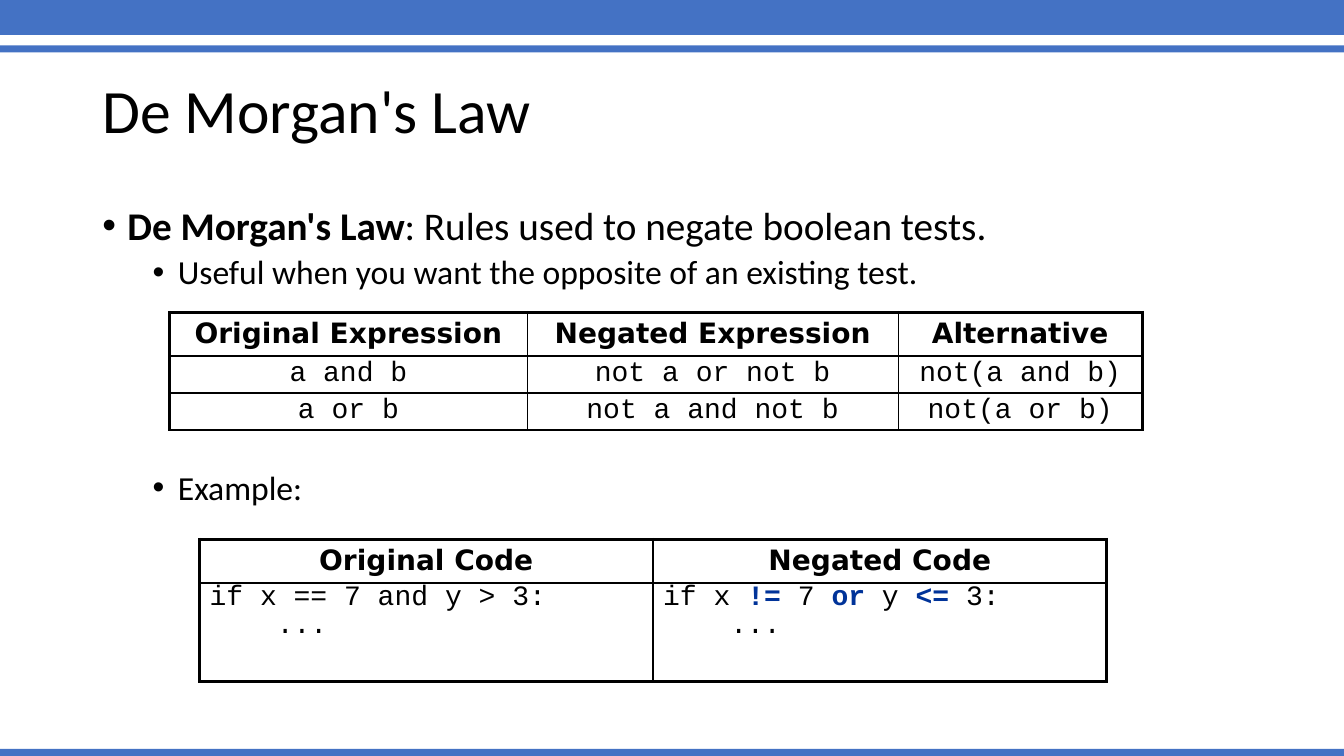
from pptx import Presentation
from pptx.dml.color import RGBColor as Rgb
from pptx.enum.shapes import MSO_SHAPE as Preset
from pptx.enum.text import MSO_ANCHOR as Anchor, PP_ALIGN as Align
from pptx.oxml import parse_xml
from pptx.oxml.ns import nsdecls
from pptx.util import Pt

COLORS = {"bar": "4472C4", "text": "000000", "change": "003399"}
SANS, MONO, HEADER = "Calibri", "Courier New", "DejaVu Sans"
WIDTH, HEIGHT = 960, 540


def color(name):
    return Rgb.from_string(COLORS[name])


def set_font(font, name, size, bold=False):
    font.name, font.size, font.bold = name, Pt(size), bold
    font.color.rgb = color("text")


def add_bars(page, box):
    """Two bars along the top edge of the box and one along the bottom."""
    left, top, width, height = box
    for offset, thickness in ((0, 25), (32.4, 5), (height - 5, 5)):
        bar = page.shapes.add_shape(Preset.RECTANGLE, Pt(left), Pt(top + offset),
                                    Pt(width), Pt(thickness))
        bar.shadow.inherit = False
        bar.fill.solid()
        bar.fill.fore_color.rgb = color("bar")
        bar.line.fill.background()


def add_text(page, box, anchor=Anchor.TOP):
    frame = page.shapes.add_textbox(*map(Pt, box)).text_frame
    frame.word_wrap = True
    frame.vertical_anchor = anchor
    return frame


def add_title(page, box, text):
    para = add_text(page, box, Anchor.MIDDLE).paragraphs[0]
    para.text = text
    para.line_spacing = 0.9
    set_font(para.font, SANS, 44)


def add_bullets(page, box, items):
    """Each item holds its level, font size, space before and (text, bold) spans."""
    frame = add_text(page, box)
    for index, (level, size, space, spans) in enumerate(items):
        para = frame.paragraphs[0] if index == 0 else frame.add_paragraph()
        para.level, para.line_spacing, para.space_before = level, 0.9, Pt(space)
        set_font(para.font, SANS, size)
        for text, bold in spans:
            span = para.add_run()
            span.text, span.font.bold = text, bold
        props = para._p.get_or_add_pPr()
        props.set("marL", str(Pt(18 + 36 * level)))
        props.set("indent", str(Pt(-18)))
        props.append(parse_xml(f'<a:buFont {nsdecls("a")} typeface="Arial"/>'))
        props.append(parse_xml(f'<a:buChar {nsdecls("a")} char="\u2022"/>'))


def set_borders(cell, outer):
    """Thick lines on the sides named in outer, thin lines elsewhere."""
    props = cell._tc.get_or_add_tcPr()
    for index, side in enumerate("LRTB"):
        weight = Pt(2.25 if side in outer else 1)
        props.insert(index, parse_xml(
            f'<a:ln{side} {nsdecls("a")} w="{weight}"><a:solidFill>'
            f'<a:srgbClr val="{COLORS["text"]}"/></a:solidFill></a:ln{side}>'))


def fill_cell(cell, lines, is_header, align, spacing):
    """Odd pieces between asterisks are marked as changed code."""
    for index, line in enumerate(lines):
        frame = cell.text_frame
        para = frame.paragraphs[0] if index == 0 else frame.add_paragraph()
        para.alignment, para.space_before = align, Pt(4)
        para.line_spacing = 1.0 if is_header else spacing
        set_font(para.font, HEADER if is_header else MONO, 20, is_header)
        if index:  # code block indent of four characters
            para._p.get_or_add_pPr().set("marL", str(Pt(48)))
        for number, piece in enumerate(line.split("*")):
            span = para.add_run()
            span.text = piece
            if number % 2:
                span.font.bold = True
                span.font.color.rgb = color("change")


def add_grid(page, box, widths, heights, rows, align, spacing):
    shape = page.shapes.add_table(len(rows), len(widths), *map(Pt, box))
    table = shape.table
    table.first_row = table.horz_banding = False
    for column, width in zip(table.columns, widths):
        column.width = Pt(width)
    for r, (row, height) in enumerate(zip(rows, heights)):
        table.rows[r].height = Pt(height)
        for c, text in enumerate(row):
            cell = table.cell(r, c)
            cell.fill.background()
            edges = {"L": c == 0, "R": c == len(widths) - 1,
                     "T": r == 0, "B": r == len(rows) - 1}
            set_borders(cell, [side for side in edges if edges[side]])
            fill_cell(cell, text.split("\n"), r == 0,
                      Align.CENTER if r == 0 else align, spacing)


def build_law_slide(page, box):
    left, top, width, height = box
    add_bars(page, box)
    add_title(page, (left + 66, top + 28.75, width - 132, 104.4), "De Morgan's Law")
    add_bullets(page, (left + 66, top + 143.75, width - 132, 342.6), [
        (0, 28, 10, [("De Morgan's Law", True),
                     (": Rules used to negate boolean tests.", False)]),
        (1, 24, 5, [("Useful when you want the opposite of an existing test.", False)]),
        (1, 24, 128, [("Example:", False)]),
    ])
    # Rules of negation
    add_grid(page, (left + 121.2, top + 223, 694.8, 84.2),
             (255.4, 265, 174.4), (31, 26.4, 26.4),
             [("Original Expression", "Negated Expression", "Alternative"),
              ("a and b", "not a or not b", "not(a and b)"),
              ("a or b", "not a and not b", "not(a or b)")], Align.CENTER, 0.8)
    # Code example
    add_grid(page, (left + 142.5, top + 385.2, 648, 101.2), (324, 324), (31, 70.2),
             [("Original Code", "Negated Code"),
              ("if x == 7 and y > 3:\n...", "if x *!=* 7 *or* y *<=* 3:\n...")],
             Align.LEFT, 0.7)


deck = Presentation()
deck.slide_width, deck.slide_height = Pt(WIDTH), Pt(HEIGHT)
build_law_slide(deck.slides.add_slide(deck.slide_layouts[6]), (0, 0, WIDTH, HEIGHT))
deck.save("out.pptx")
